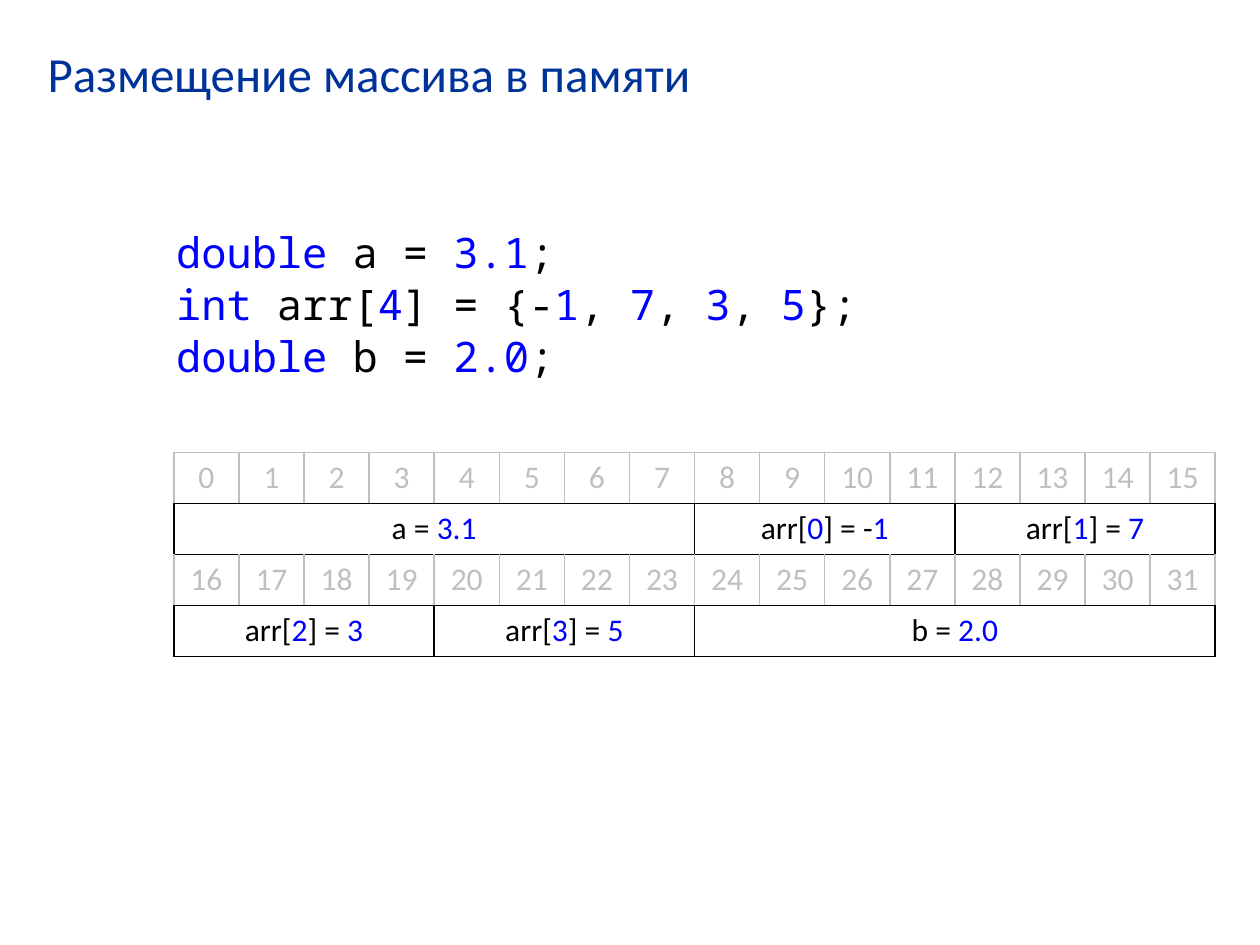
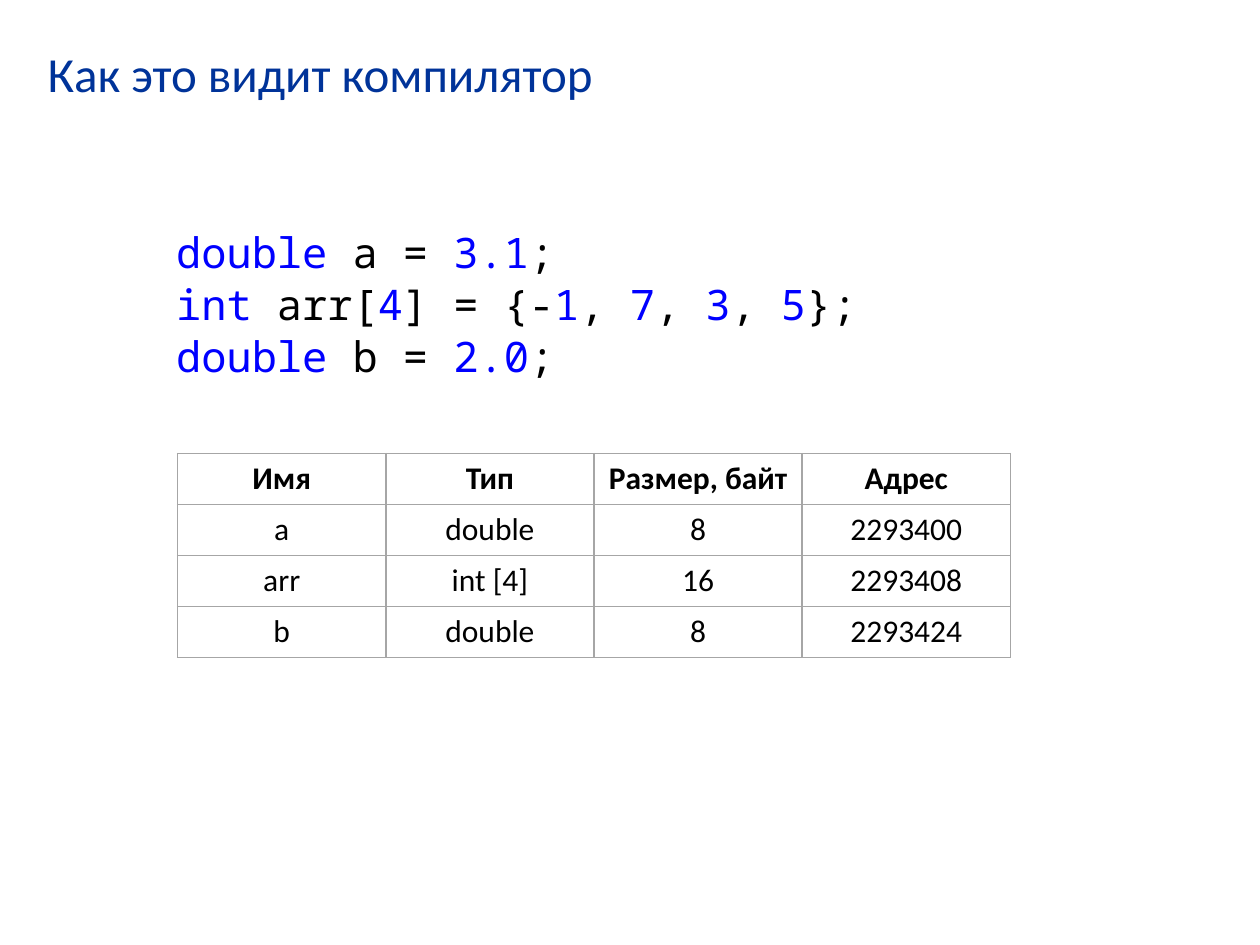
from lxml import etree
from pptx import Presentation
from pptx.dml.color import RGBColor
from pptx.enum.text import MSO_ANCHOR, PP_ALIGN
from pptx.oxml.ns import qn
from pptx.util import Inches, Pt

NAVY, BLUE, BLACK = "003399", "0000FF", "000000"
SILVER, GRAY = "BFBFBF", "A6A6A6"
TEXT_FONT, CODE_FONT = "Calibri", "Noto Sans Mono"
CODE = ["|double| a = |3.1|;",
        "|int |arr[|4|] = {-|1|, |7|, |3|, |5|};",
        "|double| b = |2.0|;"]


def rgb(value):
    return RGBColor.from_string(value)


def write(p, text, size=18, font=TEXT_FONT, color=BLACK, bold=False, align=PP_ALIGN.LEFT, before=0):
    p.alignment = align
    p.space_before = Pt(before)
    for i, part in enumerate(text.split("|")):
        if part:
            r = p.add_run()
            r.text = part
            r.font.size = Pt(size)
            r.font.name = font
            r.font.bold = bold
            r.font.color.rgb = rgb(BLUE if i % 2 else color)


def add_text(s, box, lines, **style):
    tf = s.shapes.add_textbox(*map(Inches, box)).text_frame
    tf.word_wrap = True
    for i, line in enumerate(lines):
        p = tf.add_paragraph() if i else tf.paragraphs[0]
        write(p, line, **style)


def set_borders(cell, left, right, top, bottom):
    tc_pr = cell._tc.get_or_add_tcPr()
    sides = zip(("a:lnL", "a:lnR", "a:lnT", "a:lnB"), (left, right, top, bottom))
    for i, (tag, color) in enumerate(sides):
        ln = etree.Element(qn(tag), w=str(Pt(1)))
        fill = etree.SubElement(ln, qn("a:solidFill"))
        etree.SubElement(fill, qn("a:srgbClr"), val=color)
        tc_pr.insert(i, ln)


def add_grid(s, box, rows, cols):
    table = s.shapes.add_table(rows, cols, *map(Inches, box)).table
    table.first_row = table.horz_banding = False
    for col in table.columns:
        col.width = Inches(box[2] / cols)
    for cell in table.iter_cells():
        cell.fill.background()
        cell.vertical_anchor = MSO_ANCHOR.MIDDLE
    return table


def write_cell(cell, text, **style):
    write(cell.text_frame.paragraphs[0], text, align=PP_ALIGN.CENTER, **style)


def add_memory_map(s, box, blocks, width=16):
    table = add_grid(s, box, 2 * len(blocks), width)
    for i, row in enumerate(blocks):
        for col in range(width):
            cell = table.cell(2 * i, col)
            write_cell(cell, str(i * width + col), color=SILVER)
            set_borders(cell, SILVER, SILVER, BLACK if i else SILVER, BLACK)
            set_borders(table.cell(2 * i + 1, col), *[BLACK] * 4)
        start = 0
        for text, span in row:
            cell = table.cell(2 * i + 1, start)
            cell.merge(table.cell(2 * i + 1, start + span - 1))
            write_cell(cell, text)
            start += span


def add_symbol_table(s, box, rows):
    table = add_grid(s, box, len(rows), len(rows[0]))
    for i, row in enumerate(rows):
        for j, text in enumerate(row):
            write_cell(table.cell(i, j), text, bold=i == 0)
            set_borders(table.cell(i, j), *[GRAY] * 4)


def add_code_slide(prs, title):
    s = prs.slides.add_slide(prs.slide_layouts[6])
    add_text(s, (0.28, 0.3, 9.45, 0.93), [title], size=28, color=NAVY)
    add_text(s, (1.3, 1.75, 8.43, 4.95), CODE, size=24, font=CODE_FONT, before=1)
    return s


prs = Presentation()
prs.slide_width, prs.slide_height = Inches(10), Inches(7.5)

s = add_code_slide(prs, "Размещение массива в памяти")
add_memory_map(s, (1.38, 3.59, 8.27, 1.62), [
    [("a = |3.1", 8), ("arr[|0|] = -|1", 4), ("arr[|1|] = |7", 4)],
    [("arr[|2|] = |3", 4), ("arr[|3|] = |5", 4), ("b = |2.0", 8)],
])

s = add_code_slide(prs, "Как это видит компилятор")
add_symbol_table(s, (1.41, 3.6, 6.61, 1.62), [
    ("Имя", "Тип", "Размер, байт", "Адрес"),
    ("a", "double", "8", "2293400"),
    ("arr", "int [4]", "16", "2293408"),
    ("b", "double", "8", "2293424"),
])

prs.save("out.pptx")
